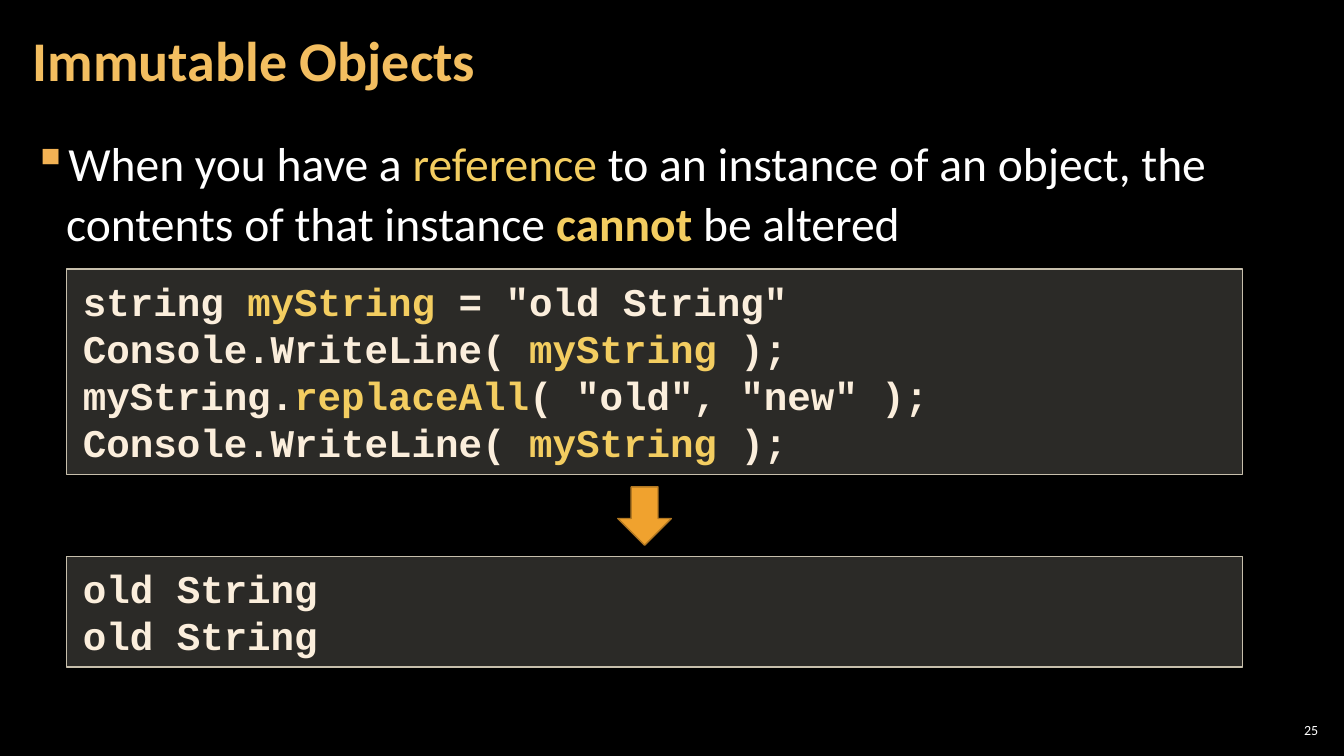
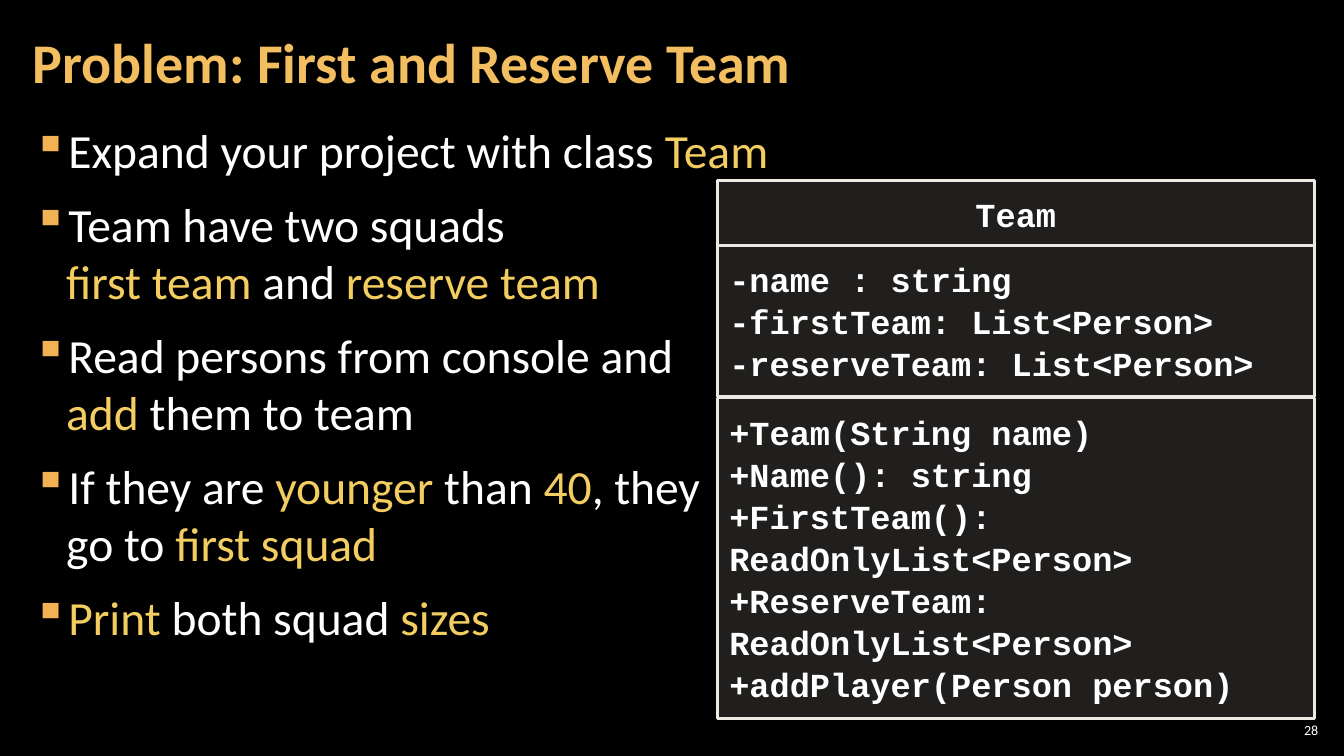
from lxml.etree import SubElement
from pptx import Presentation
from pptx.dml.color import RGBColor
from pptx.enum.shapes import MSO_SHAPE
from pptx.enum.text import MSO_ANCHOR, MSO_AUTO_SIZE, PP_ALIGN
from pptx.oxml.ns import qn
from pptx.util import Cm, Pt

COLORS = {
    "background": "000000",
    "title": "F3BE60",
    "text": "FFFFFF",
    "highlight": "F3CD60",
    "bullet": "F2B254",
    "code": "FBEEDC",
    "panel": "D9D5C7",
    "code line": "C7BFAC",
    "class line": "ECEAE3",
    "arrow": "F0A22E",
    "arrow line": "B27822",
}
RGB = {name: RGBColor.from_string(value) for name, value in COLORS.items()}
TEXT_FONT, CODE_FONT = "Calibri", "Courier New"


def write_text(shape, lines, font, size, color, bold=False, inset=(0.3, 0.1),
               anchor=MSO_ANCHOR.TOP, align=PP_ALIGN.LEFT, spacing=None):
    """Fill a shape; |word| is highlighted, |!word| is highlighted and bold."""
    frame = shape.text_frame
    frame.word_wrap = True
    frame.auto_size = MSO_AUTO_SIZE.NONE
    frame.vertical_anchor = anchor
    frame.margin_left = frame.margin_right = Cm(inset[0])
    frame.margin_top = frame.margin_bottom = Cm(inset[1])
    for number, line in enumerate(lines):
        paragraph = frame.add_paragraph() if number else frame.paragraphs[0]
        paragraph.alignment = align
        paragraph.line_spacing = spacing
        paragraph.font.name = font
        paragraph.font.size = Pt(size)
        paragraph.font.bold = bold
        paragraph.font.color.rgb = RGB[color]
        for position, piece in enumerate(line.split("|")):
            for row, words in enumerate(piece.split("\n")):
                if row:
                    paragraph.add_line_break()
                if not words:
                    continue
                run = paragraph.add_run()
                run.text = words.lstrip("!")
                if position % 2:
                    run.font.color.rgb = RGB["highlight"]
                if words.startswith("!"):
                    run.font.bold = True
    return frame.paragraphs


def add_panel(shapes, kind, box, fill, line, width, opacity=100):
    """Add a filled, outlined shape; box is left, top, width, height in cm."""
    shape = shapes.add_shape(kind, *[Cm(length) for length in box])
    shape.shadow.inherit = False
    shape.fill.solid()
    shape.fill.fore_color.rgb = RGB[fill]
    shape.line.color.rgb = RGB[line]
    shape.line.width = Pt(width)
    if opacity < 100:
        color = shape._element.spPr.find(qn("a:solidFill")).find(qn("a:srgbClr"))
        SubElement(color, qn("a:alpha"), val=str(opacity * 1000))
    return shape


presentation = Presentation()
presentation.slide_width = Cm(33.87)
presentation.slide_height = Cm(19.05)
master_fill = presentation.slide_master.background.fill
master_fill.solid()
master_fill.fore_color.rgb = RGB["background"]

pages = [
    {
        "title": "Immutable Objects",
        "title spacing": Pt(40),
        "number": "25",
        "body": (0.53, 3.2, 32.79, 15.47),
        "body spacing": 1.05,
        "bullets": [
            "When you have a |reference| to an instance of an object, the "
            "contents of that instance |!cannot| be altered",
        ],
    },
    {
        "title": "Problem: First and Reserve Team",
        "title spacing": 0.9,
        "number": "28",
        "body": (0.53, 2.95, 19.58, 15.47),
        "body spacing": None,
        "bullets": [
            "Expand your project with class |Team|",
            "Team have two squads\n|first team |and |reserve team|",
            "Read persons from console and\n|add| them to team",
            "If they are |younger| than |40|, they \ngo to |first squad|",
            "|Print |both squad |sizes|",
        ],
    },
]

# Title, bullets and page number of both slides
slides = []
for page in pages:
    slide = presentation.slides.add_slide(presentation.slide_layouts[5])
    slides.append(slide)

    title = slide.shapes.title
    title.left, title.top, title.width, title.height = Cm(0.53), Cm(0.1), Cm(26.6), Cm(3.07)
    write_text(title, [page["title"]], TEXT_FONT, 40, "title", bold=True,
               anchor=MSO_ANCHOR.MIDDLE, spacing=page["title spacing"])

    body = slide.shapes.add_textbox(*[Cm(length) for length in page["body"]])
    for paragraph in write_text(body, page["bullets"], TEXT_FONT, 34, "text",
                                spacing=page["body spacing"]):
        paragraph.space_before = paragraph.space_after = Pt(6)
        properties = paragraph._p.get_or_add_pPr()
        properties.set("marL", str(Cm(0.84)))
        properties.set("indent", str(-Cm(0.84)))
        bullet_color = properties.makeelement(qn("a:buClr"))
        SubElement(bullet_color, qn("a:srgbClr"), val=COLORS["bullet"])
        bullet = properties.makeelement(qn("a:buChar"), char="▪")
        default_font = properties.find(qn("a:defRPr"))
        default_font.addprevious(bullet_color)
        default_font.addprevious(bullet)

    page_number = slide.shapes.add_textbox(Cm(32.13), Cm(18.14), Cm(1.19), Cm(0.53))
    write_text(page_number, [page["number"]], TEXT_FONT, 10, "text", inset=(0.1, 0.1),
               anchor=MSO_ANCHOR.MIDDLE, align=PP_ALIGN.RIGHT)

objects_slide, team_slide = slides

# Code, arrow and output
code_panels = [
    (6.78, 5.18, [
        'string |myString| = "old String"',
        "Console.WriteLine( |myString| );",
        'myString.|replaceAll|( "old", "new" );',
        "Console.WriteLine( |myString |);",
    ]),
    (14.02, 2.79, ["old String", "old String"]),
]
for top, height, lines in code_panels:
    panel = add_panel(objects_slide.shapes, MSO_SHAPE.RECTANGLE, (1.68, top, 29.64, height),
                      "panel", "code line", 1, opacity=20)
    write_text(panel, lines, CODE_FONT, 28, "code", bold=True, inset=(0.41, 0.2))
add_panel(objects_slide.shapes, MSO_SHAPE.DOWN_ARROW, (15.57, 12.27, 1.35, 1.47),
          "arrow", "arrow line", 1)

# Class diagram
class_parts = [
    (4.55, 1.63, PP_ALIGN.CENTER, ["Team"]),
    (6.18, 3.81, PP_ALIGN.LEFT, [
        "-name : string",
        "-firstTeam: List<Person>",
        "-reserveTeam: List<Person>",
    ]),
    (10.03, 8.08, PP_ALIGN.LEFT, [
        "+Team(String name)",
        "+Name(): string",
        "+FirstTeam(): ReadOnlyList<Person>",
        "+ReserveTeam: ReadOnlyList<Person>",
        "+addPlayer(Person person)",
    ]),
]
class_diagram = team_slide.shapes.add_group_shape()
for top, height, align, lines in class_parts:
    part = add_panel(class_diagram.shapes, MSO_SHAPE.RECTANGLE, (18.08, top, 15.04, height),
                     "panel", "class line", 2, opacity=15)
    write_text(part, lines, CODE_FONT, 24, "text", bold=True, inset=(0.3, 0.3),
               align=align, spacing=Pt(30))

presentation.save("out.pptx")
